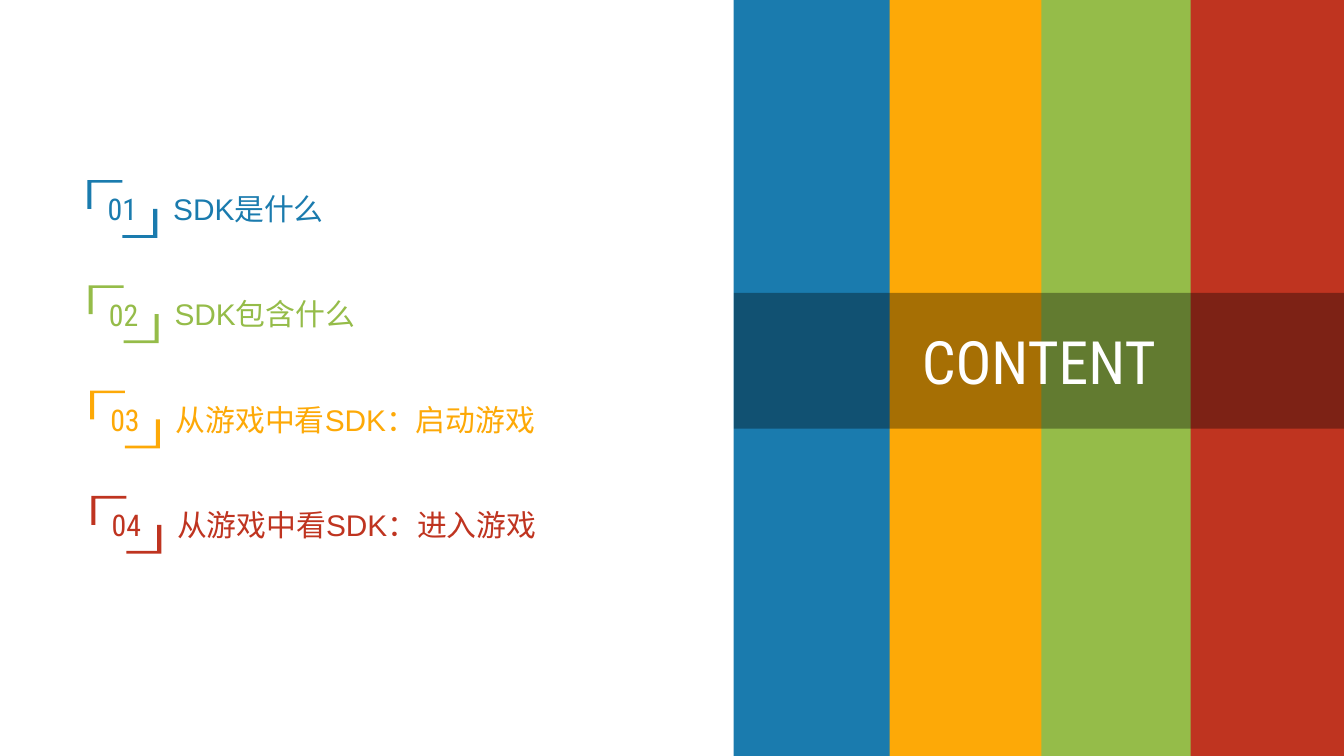
from lxml import etree
from pptx import Presentation
from pptx.dml.color import RGBColor
from pptx.enum import shapes, text
from pptx.oxml.ns import qn
from pptx.util import Inches, Pt

BLUE, GREEN, ORANGE, RED = "1A7BAE", "95BC49", "FDA907", "BF3420"
WIDTH = 10
HEIGHT = WIDTH * 9 / 16
HEADING_FONT, BODY_FONT = "Roboto Condensed", "Arial"
TOPICS = [
    ("SDK是什么", BLUE),
    ("SDK包含什么", GREEN),
    ("从游戏中看SDK：启动游戏", ORANGE),
    ("从游戏中看SDK：进入游戏", RED),
]
# Left edges, from back to front: each stripe slightly overlaps the next
STRIPES = [(7.72, GREEN), (6.59, ORANGE), (5.46, BLUE), (8.86, RED)]


def color(value):
    return RGBColor.from_string(value)


def paint(shape, value):
    shape.fill.solid()
    shape.fill.fore_color.rgb = color(value)
    shape.line.fill.background()


def write(shape, words, size, font, value, align, anchor):
    frame = shape.text_frame
    frame.word_wrap = True
    frame.auto_size = text.MSO_AUTO_SIZE.NONE
    frame.vertical_anchor = anchor
    para = frame.paragraphs[0]
    para.alignment = align
    span = para.add_run()
    span.text = words
    span.font.size = Pt(size)
    span.font.name = font
    span.font.color.rgb = color(value)


def add_bracket(page, left, top, width, height):
    """Two opposite corners of a frame, as one outline."""
    right, bottom = left + width, top + height
    middle_x, middle_y = left + width / 2, top + height / 2
    thick_x, thick_y = 0.03, 0.02

    def corner(x, y, inward_x, inward_y):
        inner_x, inner_y = x + inward_x * thick_x, y + inward_y * thick_y
        points = [(x, y), (middle_x, y), (middle_x, inner_y),
                  (inner_x, inner_y), (inner_x, middle_y), (x, middle_y)]
        return [(Inches(a), Inches(b)) for a, b in points]

    upper, lower = corner(left, top, 1, 1), corner(right, bottom, -1, -1)
    builder = page.shapes.build_freeform(*upper[0])
    builder.add_line_segments(upper[1:])
    builder.move_to(*lower[0])
    builder.add_line_segments(lower[1:])
    bracket = builder.convert_to_shape()
    bracket.shadow.inherit = False
    return bracket


def add_topics(page, left, top, width, last_top):
    pitch = (last_top - top) / (len(TOPICS) - 1)
    for index, (words, value) in enumerate(TOPICS):
        x, y = left + 0.01 * index, top + pitch * index
        # Topic
        box = page.shapes.add_textbox(Inches(x + 0.54), Inches(y + 0.03),
                                      Inches(width - 0.54), Inches(0.37))
        write(box, words, 16, BODY_FONT, value,
              text.PP_ALIGN.LEFT, text.MSO_ANCHOR.TOP)
        # Numbered bracket
        bracket = add_bracket(page, x, y, 0.52, 0.43)
        paint(bracket, value)
        write(bracket, f"{index + 1:02}", 16, HEADING_FONT, value,
              text.PP_ALIGN.CENTER, text.MSO_ANCHOR.MIDDLE)


def add_stripes(page, top, width, height):
    for left, value in STRIPES:
        stripe = page.shapes.add_shape(
            shapes.MSO_SHAPE.RECTANGLE, Inches(left), Inches(top),
            Inches(min(width, WIDTH - left)), Inches(height))
        stripe.shadow.inherit = False
        paint(stripe, value)


def add_title_band(page, left, top, width, height):
    title = page.shapes.title
    title.left, title.top = Inches(left), Inches(top)
    title.width, title.height = Inches(width), Inches(height)
    paint(title, "000000")
    # Let the stripes show through
    fill = title.element.spPr.find(qn("a:solidFill"))
    etree.SubElement(fill[0], qn("a:alpha"), val="34000")
    write(title, "CONTENT", 32, HEADING_FONT, "FFFFFF",
          text.PP_ALIGN.CENTER, text.MSO_ANCHOR.MIDDLE)
    # Bring the band in front of the stripes
    title.element.getparent().append(title.element)


def main():
    deck = Presentation()
    deck.slide_width, deck.slide_height = Inches(WIDTH), Inches(HEIGHT)
    page = deck.slides.add_slide(deck.slide_layouts.get_by_name("Title Only"))
    add_stripes(page, top=0, width=1.16, height=HEIGHT)
    add_topics(page, left=0.65, top=1.34, width=4.52, last_top=3.69)
    add_title_band(page, left=5.46, top=2.18, width=4.54, height=1.01)
    deck.save("out.pptx")


if __name__ == "__main__":
    main()
